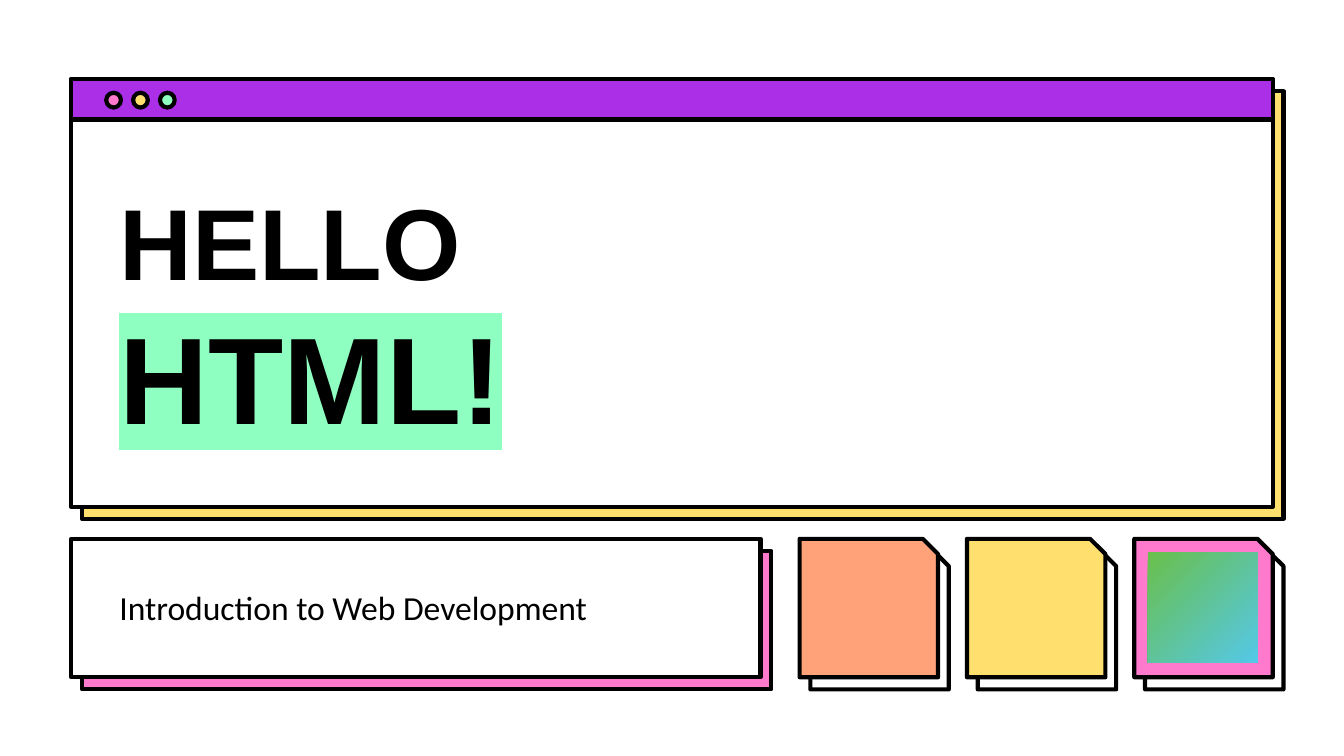
import copy
from dataclasses import dataclass

import pptx
import pptx.dml.color
import pptx.enum.shapes
import pptx.enum.text
import pptx.oxml
import pptx.oxml.ns
import pptx.util

Inches = pptx.util.Inches
Pt = pptx.util.Pt
SHAPE = pptx.enum.shapes.MSO_SHAPE
ANCHOR = pptx.enum.text.MSO_ANCHOR


@dataclass(frozen=True)
class Theme:
    """Colours, fonts and sizes used on the slide."""
    black: str = "000000"
    white: str = "FFFFFF"
    purple: str = "AA2FE6"
    pink: str = "FF7ACD"
    yellow: str = "FFDF6D"
    mint: str = "8FFFC1"
    orange: str = "FFA27A"
    green: str = "6ABF4B"
    blue: str = "54C8E8"
    title_font: str = "Arial"
    body_font: str = "Calibri"
    hello_size: float = 54
    html_size: float = 66
    body_size: float = 18
    outline: float = 2.25


THEME = Theme()
OFFSET_X, OFFSET_Y = 0.08, 0.09


def rgb(value):
    """Turn a hex string into a colour."""
    return pptx.dml.color.RGBColor.from_string(value)


def add_box(s, kind, left, top, width, height, fill):
    """Add a filled preset shape with the black outline."""
    sp = s.shapes.add_shape(kind, Inches(left), Inches(top),
                            Inches(width), Inches(height))
    sp.shadow.inherit = False
    sp.fill.solid()
    sp.fill.fore_color.rgb = rgb(fill)
    sp.line.color.rgb = rgb(THEME.black)
    sp.line.width = Pt(THEME.outline)
    return sp


def add_panel(s, left, top, width, height, front, back, kind=SHAPE.RECTANGLE):
    """Add a shape over a second one set off down and to the right."""
    for shift, fill in ((1, back), (0, front)):
        sp = add_box(s, kind, left + shift * OFFSET_X, top + shift * OFFSET_Y,
                     width, height, fill)
        if kind == SHAPE.SNIP_1_RECTANGLE:
            sp.adjustments[0] = 0.11


def add_window(s, left, top, width, height):
    """Add the browser window with its title bar and three buttons."""
    add_panel(s, left, top, width, height, THEME.white, THEME.yellow)
    add_box(s, SHAPE.RECTANGLE, left, top, width, 0.3, THEME.purple)
    for i, fill in enumerate((THEME.pink, THEME.yellow, THEME.mint)):
        add_box(s, SHAPE.OVAL, left + 0.26 + 0.2 * i, top + 0.1,
                0.11, 0.11, fill)


def add_gradient_square(s, left, top, side):
    """Add the plain square with a diagonal gradient."""
    sp = add_box(s, SHAPE.RECTANGLE, left, top, side, side, THEME.green)
    sp.line.fill.background()
    sp.fill.gradient()
    sp.fill.gradient_angle = 315
    for stop, color in zip(sp.fill.gradient_stops, (THEME.green, THEME.blue)):
        stop.color.rgb = rgb(color)


def add_text_frame(s, left, top, width, height, anchor):
    """Add a wrapping text box and return its frame."""
    tf = s.shapes.add_textbox(Inches(left), Inches(top), Inches(width),
                              Inches(height)).text_frame
    tf.word_wrap = True
    tf.vertical_anchor = anchor
    tf.margin_left = tf.margin_right = Inches(0.1)
    tf.margin_top = tf.margin_bottom = Inches(0.1)
    return tf


def add_run(p, text, font, size, bold=False, highlight=None):
    """Add one run of black text, marked with a highlight if given."""
    r = p.add_run()
    r.text = text
    r.font.size = Pt(size)
    r.font.bold = bold
    r.font.color.rgb = rgb(THEME.black)
    r.font.name = font
    if highlight:
        mark = pptx.oxml.parse_xml(
            f'<a:highlight {pptx.oxml.ns.nsdecls("a")}>'
            f'<a:srgbClr val="{highlight}"/></a:highlight>')
        r.font._element.find(pptx.oxml.ns.qn("a:solidFill")).addnext(mark)
    return r


def add_title(s):
    """Add the two-line title."""
    tf = add_text_frame(s, 0.79, 1.25, 8.43, 2.19, ANCHOR.BOTTOM)
    p = tf.paragraphs[0]
    r = add_run(p, "HELLO ", THEME.title_font, THEME.hello_size, bold=True)
    p.add_line_break()
    br = p._p.find(pptx.oxml.ns.qn("a:br"))
    br.append(copy.deepcopy(r.font._element))
    add_run(p, "HTML!", THEME.title_font, THEME.html_size, bold=True,
            highlight=THEME.mint)


def add_subtitle(s):
    """Add the subtitle line."""
    tf = add_text_frame(s, 0.79, 4.27, 4.54, 0.49, ANCHOR.TOP)
    add_run(tf.paragraphs[0], "Introduction to Web Development",
            THEME.body_font, THEME.body_size)


def main():
    """Build the slide and save it."""
    prs = pptx.Presentation()
    prs.slide_width = Inches(10)
    prs.slide_height = prs.slide_width * 9 // 16
    s = prs.slides.add_slide(prs.slide_layouts[6])

    left, row_top, side = 0.53, 4.01, 1.03
    add_window(s, left, 0.59, 8.94, 3.18)
    add_panel(s, left, row_top, 5.13, side, THEME.white, THEME.pink)
    first, last = 5.95, 8.44
    pitch = (last - first) / 2
    for i, fill in enumerate((THEME.orange, THEME.yellow, THEME.pink)):
        add_panel(s, first + i * pitch, row_top, side, side, fill,
                  THEME.white, SHAPE.SNIP_1_RECTANGLE)
    add_gradient_square(s, last + 0.1, row_top + 0.1, 0.82)
    add_title(s)
    add_subtitle(s)
    prs.save("out.pptx")


main()
